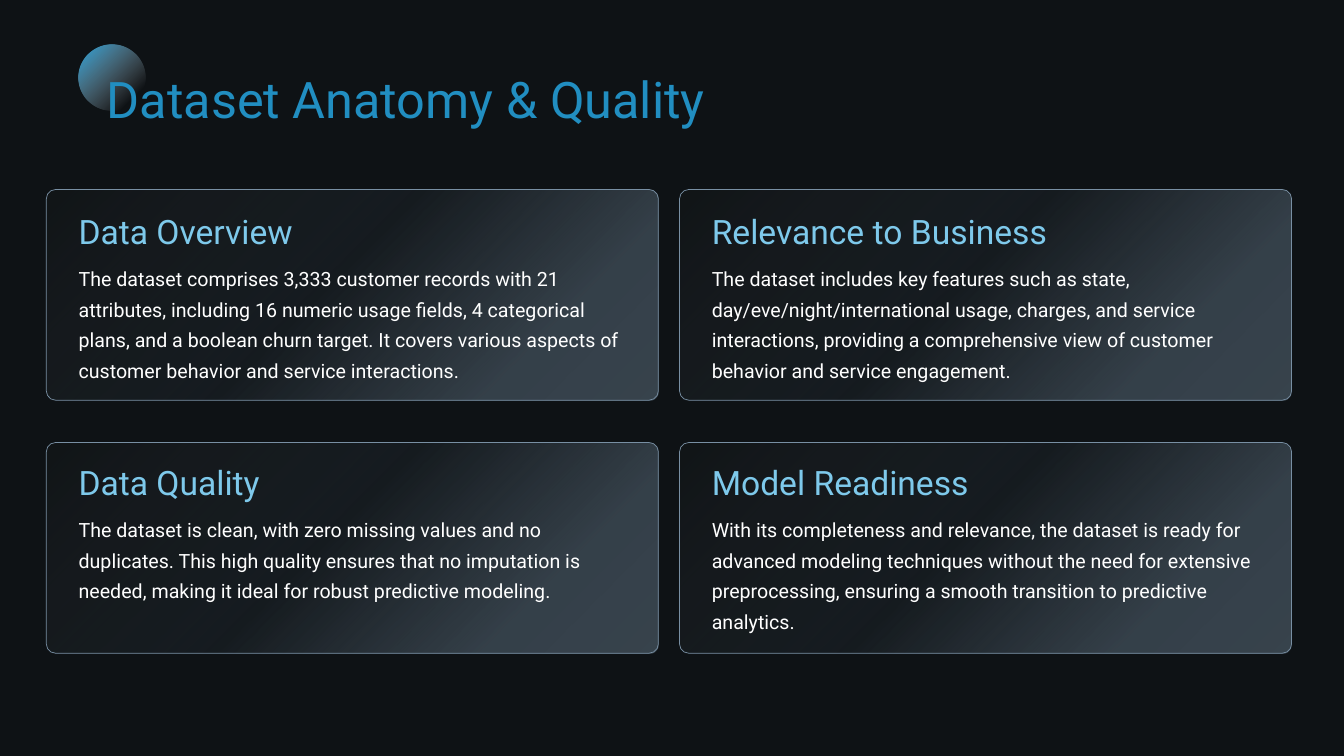
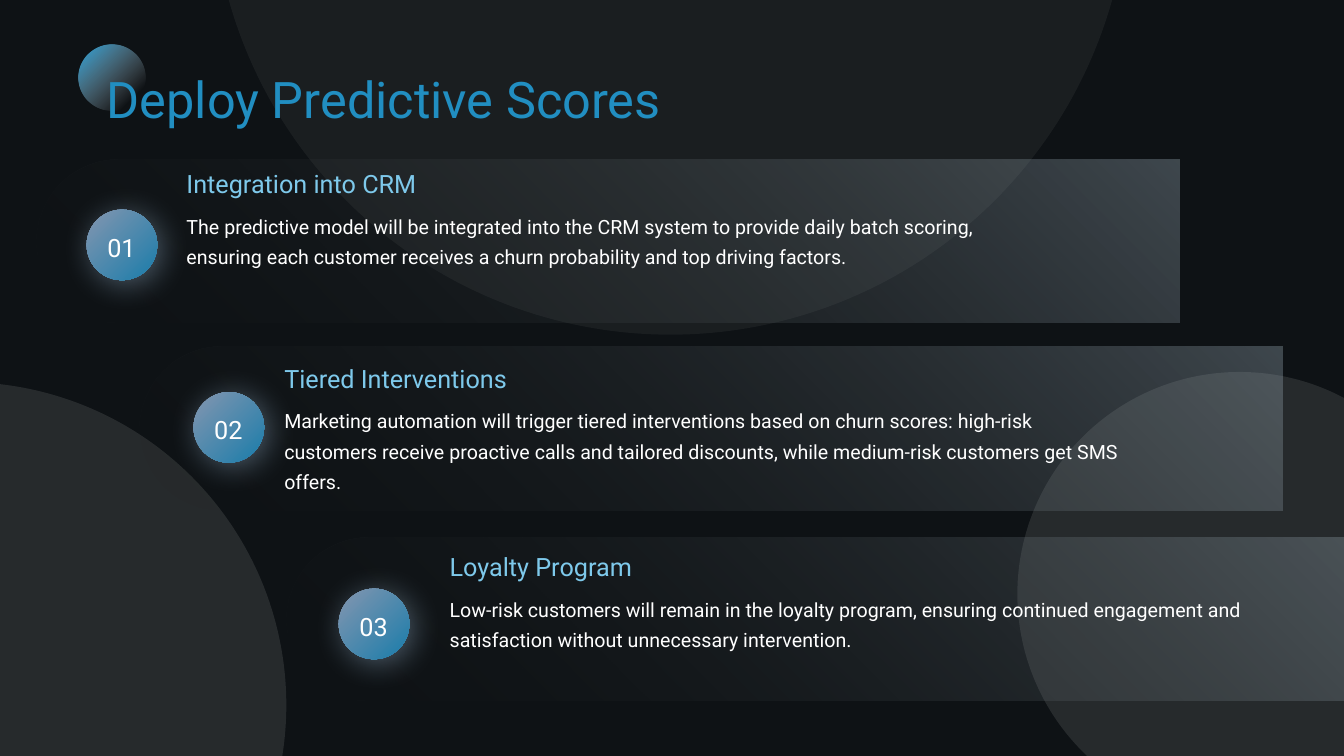
import pptx
import pptx.dml.color
import pptx.enum.shapes
import pptx.enum.text
import pptx.oxml
import pptx.oxml.ns
import pptx.util

Inches = pptx.util.Inches
SHAPES = pptx.enum.shapes.MSO_SHAPE

BACKGROUND, WHITE = "0E1215", "FFFFFF"
TITLE_BLUE, HEADING_BLUE, CARD_EDGE = "218EC1", "7EC9EB", "788FA3"

# Gradient stops: position and opacity in percent
CARD_STOPS = [(0, CARD_EDGE, 39), (22, CARD_EDGE, 36), (54, CARD_EDGE, 7), (100, "232322", 15)]
BAND_STOPS = [(0, "A4B6C2", 33), (100, "232322", 0)]
BADGE_STOPS = [(0, "8496B0", 100), (100, "1A7CAA", 100)]
TITLE_DOT_STOPS = [(0, "28A4DE", 100), (81, "C5C9CE", 0), (100, "C5C9CE", 0)]

CORNER_FOCUS = ('<a:path path="circle"><a:fillToRect l="100000" b="100000"/></a:path>'
                '<a:tileRect t="-100000" r="-100000"/>')


def rgb(value):
    return pptx.dml.color.RGBColor.from_string(value)


def drawing_xml(tag, attributes, inner):
    """Parse one DrawingML element."""
    return pptx.oxml.parse_xml(
        f'<a:{tag} {pptx.oxml.ns.nsdecls("a")} {attributes}>{inner}</a:{tag}>')


def color_xml(color, opacity):
    return f'<a:srgbClr val="{color}"><a:alpha val="{opacity * 1000}"/></a:srgbClr>'


class Deck:
    """Holds the presentation, its style and the current slide."""

    font = "Roboto"

    def __init__(self):
        self.file = pptx.Presentation()
        self.file.slide_width = Inches(13.33)
        self.file.slide_height = Inches(7.5)
        self.page = None

    def add_page(self):
        self.page = self.file.slides.add_slide(self.file.slide_layouts[6])
        fill = self.page.background.fill
        fill.solid()
        fill.fore_color.rgb = rgb(BACKGROUND)

    def shape(self, kind, left, top, width, height):
        shape = self.page.shapes.add_shape(
            kind, Inches(left), Inches(top), Inches(width), Inches(height))
        shape.shadow.inherit = False
        shape.line.fill.background()
        return shape

    def gradient(self, shape, stops, angle=None):
        """Fill along an angle in degrees, or from a corner when there is none."""
        stop_xml = "".join(f'<a:gs pos="{position * 1000}">{color_xml(color, opacity)}</a:gs>'
                           for position, color, opacity in stops)
        direction = CORNER_FOCUS if angle is None else f'<a:lin ang="{angle * 60000}" scaled="0"/>'
        geometry = shape._element.spPr.find(pptx.oxml.ns.qn("a:prstGeom"))
        geometry.addnext(drawing_xml("gradFill", 'rotWithShape="1"',
                                     f"<a:gsLst>{stop_xml}</a:gsLst>{direction}"))

    def text(self, words, left, top, width, height, size, color,
             spacing=None, inset=0, centered=False, grow=True):
        box = self.page.shapes.add_textbox(
            Inches(left), Inches(top), Inches(width), Inches(height))
        frame = box.text_frame
        frame.word_wrap = True
        if grow:
            frame.auto_size = pptx.enum.text.MSO_AUTO_SIZE.SHAPE_TO_FIT_TEXT
        frame.margin_left = frame.margin_right = Inches(inset)
        frame.margin_top = frame.margin_bottom = Inches(inset)
        para = frame.paragraphs[0]
        if spacing:
            para.line_spacing = spacing
        if centered:
            para.alignment = pptx.enum.text.PP_ALIGN.CENTER
        span = para.add_run()
        span.text = words
        span.font.name = self.font
        span.font.size = pptx.util.Pt(size)
        span.font.color.rgb = rgb(color)

    def title(self, words):
        dot = self.shape(SHAPES.OVAL, 0.78, 0.44, 0.66, 0.66)
        self.gradient(dot, TITLE_DOT_STOPS, 45)
        self.text(words, 1.06, 0.56, 11.51, 0.72, 36, TITLE_BLUE, spacing=1.2)

    def card(self, left, top):
        card = self.shape(SHAPES.ROUNDED_RECTANGLE, left, top, 6.07, 2.09)
        card.adjustments[0] = 0.044
        self.gradient(card, CARD_STOPS, 225)
        card.line.color.rgb = rgb(CARD_EDGE)
        card.line.width = pptx.util.Pt(0.5)

    def backdrop_circle(self, left, top, size, opacity):
        circle = self.shape(SHAPES.OVAL, left, top, size, size)
        circle.fill.solid()
        circle.fill.fore_color.rgb = rgb(WHITE)
        color = circle._element.spPr.find(".//" + pptx.oxml.ns.qn("a:srgbClr"))
        color.append(drawing_xml("alpha", f'val="{opacity * 1000}"', ""))

    def band(self, left, top):
        """Draw an upright tab turned on its side; left and top are as seen."""
        length, depth = 11.34, 1.62
        shift = (length - depth) / 2
        band = self.shape(SHAPES.ROUND_2_SAME_RECTANGLE, left + shift, top - shift, depth, length)
        band.adjustments[0] = 0.5
        band.adjustments[1] = 0
        band.rotation = 270
        self.gradient(band, BAND_STOPS)

    def badge(self, number, left, top):
        badge = self.shape(SHAPES.OVAL, left, top, 0.7, 0.7)
        self.gradient(badge, BADGE_STOPS, 45)
        effects = badge._element.spPr.find(pptx.oxml.ns.qn("a:effectLst"))
        effects.append(drawing_xml(
            "outerShdw",
            f'blurRad="{pptx.util.Pt(22.9)}" dist="{pptx.util.Pt(4)}" dir="2700000" '
            'algn="tl" rotWithShape="0"',
            color_xml(CARD_EDGE, 60)))
        self.text(f"{number:02d}", left - 0.02, top + 0.19, 0.73, 0.32, 18, WHITE,
                  spacing=1.1, centered=True, grow=False)


def build_quality(deck):
    cards = [
        ("Data Overview",
         "The dataset comprises 3,333 customer records with 21 attributes, including 16 numeric "
         "usage fields, 4 categorical plans, and a boolean churn target. It covers various "
         "aspects of customer behavior and service interactions."),
        ("Relevance to Business",
         "The dataset includes key features such as state, day/eve/night/international usage, "
         "charges, and service interactions, providing a comprehensive view of customer behavior "
         "and service engagement."),
        ("Data Quality",
         "The dataset is clean, with zero missing values and no duplicates. This high quality "
         "ensures that no imputation is needed, making it ideal for robust predictive modeling."),
        ("Model Readiness",
         "With its completeness and relevance, the dataset is ready for advanced modeling "
         "techniques without the need for extensive preprocessing, ensuring a smooth transition "
         "to predictive analytics."),
    ]
    deck.add_page()
    deck.title("Dataset Anatomy & Quality")
    for index, (heading, body) in enumerate(cards):
        row, column = divmod(index, 2)
        left = 0.46 + 6.28 * column
        deck.card(left, 1.88 + 2.51 * row)
        text_left, text_top = left + 0.32, 2.09 + 2.49 * row
        deck.text(heading, text_left, text_top, 5.56, 0.4, 24, HEADING_BLUE)
        deck.text(body, text_left, text_top + 0.49, 5.56, 1.25, 14, WHITE,
                  spacing=1.3, grow=False)


def build_deployment(deck):
    # Band corner, badge corner, text corner, text width, body height, heading, body
    steps = [
        ((0.36, 1.58), (0.86, 2.08), (1.8, 1.62), 8.44, 0.63, "Integration into CRM",
         "The predictive model will be integrated into the CRM system to provide daily batch "
         "scoring, ensuring each customer receives a churn probability and top driving factors."),
        ((1.38, 3.44), (1.92, 3.89), (2.77, 3.55), 8.44, 0.94, "Tiered Interventions",
         "Marketing automation will trigger tiered interventions based on churn scores: "
         "high-risk customers receive proactive calls and tailored discounts, while medium-risk "
         "customers get SMS offers."),
        ((2.84, 5.33), (3.36, 5.84), (4.41, 5.42), 8.58, 0.63, "Loyalty Program",
         "Low-risk customers will remain in the loyalty program, ensuring continued engagement "
         "and satisfaction without unnecessary intervention."),
    ]
    deck.add_page()
    for left, top, size, opacity in [(2.1, -5.78, 9.1, 5), (-3.57, 3.79, 6.41, 10),
                                     (10.09, 3.69, 4.41, 10)]:
        deck.backdrop_circle(left, top, size, opacity)
    deck.title("Deploy Predictive Scores")
    for number, step in enumerate(steps, 1):
        band, badge, (left, top), width, body_height, heading, body = step
        deck.band(*band)
        deck.badge(number, *badge)
        deck.text(heading, left, top, width, 0.31, 18, HEADING_BLUE, inset=0.05)
        deck.text(body, left, top + 0.39, width, body_height, 14, WHITE, spacing=1.3, inset=0.05)


def main():
    deck = Deck()
    build_quality(deck)
    build_deployment(deck)
    deck.file.save("out.pptx")


if __name__ == "__main__":
    main()
